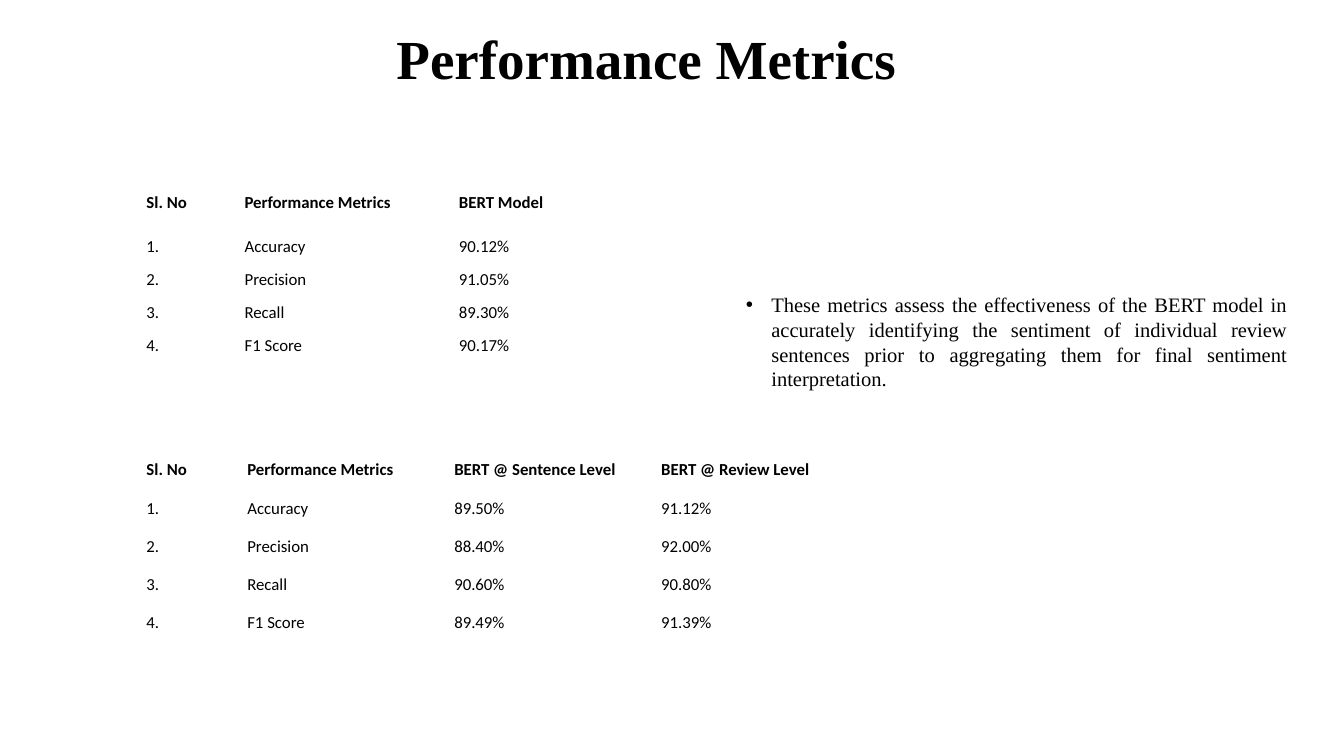
from lxml.etree import SubElement
from pptx import Presentation
from pptx.dml.color import RGBColor
from pptx.enum.text import MSO_ANCHOR, PP_ALIGN
from pptx.oxml.ns import qn
from pptx.util import Inches, Pt

SERIF = "Times New Roman"
SANS = "Calibri"
NAMES = ["Accuracy", "Precision", "Recall", "F1 Score"]
NOTE = (
    "These metrics assess the effectiveness of the BERT model in accurately "
    "identifying the sentiment of individual review sentences prior to "
    "aggregating them for final sentiment interpretation."
)


def color(code):
    return RGBColor.from_string(code)


def assign(item, values):
    for key, value in values.items():
        setattr(item, key, value)


def write(para, text, face, size, bold=False):
    run = para.add_run()
    run.text = text
    assign(run.font, {"name": face, "size": Pt(size), "bold": bold})
    run.font.color.rgb = color("000000")


def add_box(slide, left, top, width, height):
    box = slide.shapes.add_textbox(*map(Inches, (left, top, width, height)))
    box.text_frame.word_wrap = True
    return box.text_frame


def add_title(slide, text):
    frame = add_box(slide, 2.62, 0.36, 14.66, 0.99)
    assign(frame, {
        "margin_left": Inches(3.28),
        "margin_right": 0,
        "margin_top": 0,
        "margin_bottom": 0,
    })
    write(frame.paragraphs[0], text, SERIF, 59, True)


def add_bullet(slide, text):
    frame = add_box(slide, 11, 4.3, 8.25, 1.58)
    para = frame.paragraphs[0]
    para.alignment = PP_ALIGN.JUSTIFY
    write(para, text, SERIF, 22)
    # Hanging bullet
    props = para._p.get_or_add_pPr()
    props.set("marL", str(Inches(0.38)))
    props.set("indent", str(-Inches(0.38)))
    SubElement(props, qn("a:buFont"), typeface="Arial")
    SubElement(props, qn("a:buChar"), char="•")


def add_grid(slide, top, widths, heights, heads, scores):
    """Number the metrics and list their scores, one column per model."""
    rows = [["Sl. No", "Performance Metrics", *heads]]
    for num, (name, *marks) in enumerate(zip(NAMES, *scores), 1):
        rows.append([f"{num}.", name, *[f"{mark:.2f}%" for mark in marks]])

    size = (2.08, top, sum(widths), sum(heights))
    frame = slide.shapes.add_table(len(rows), len(widths), *map(Inches, size))
    table = frame.table
    assign(table, {"first_row": False, "horz_banding": False})
    for col, width in zip(table.columns, widths):
        col.width = Inches(width)
    for i, (texts, height) in enumerate(zip(rows, heights)):
        table.rows[i].height = Inches(height)
        for cell, text in zip(table.rows[i].cells, texts):
            cell.fill.background()
            cell.vertical_anchor = MSO_ANCHOR.MIDDLE
            write(cell.text_frame.paragraphs[0], text, SANS, 18, i == 0)


def main():
    deck = Presentation()
    assign(deck, {"slide_width": Inches(20), "slide_height": Inches(11.25)})
    slide = deck.slides.add_slide(deck.slide_layouts[6])

    add_title(slide, "Performance Metrics")

    # Overall scores
    add_grid(slide, 2.6, [1.46, 3.19, 5.68], [0.83] + [0.49] * 4,
             ["BERT Model"], [[90.12, 91.05, 89.3, 90.17]])

    # Scores by level
    add_grid(slide, 6.71, [1.5, 3.08, 3.08, 3], [0.57] * 5,
             ["BERT @ Sentence Level", "BERT @ Review Level"],
             [[89.5, 88.4, 90.6, 89.49], [91.12, 92, 90.8, 91.39]])

    add_bullet(slide, NOTE)
    deck.save("out.pptx")


if __name__ == "__main__":
    main()
